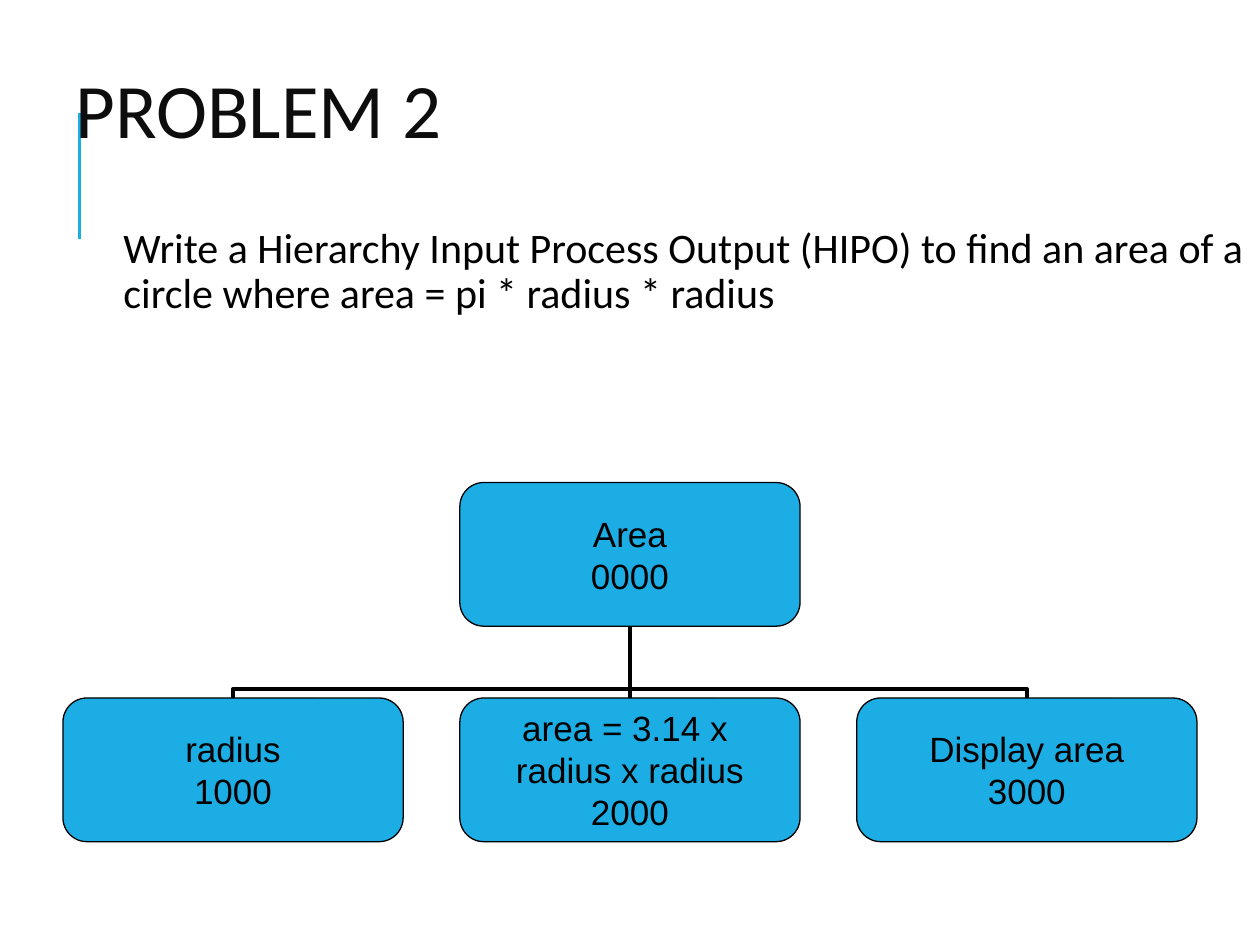
from dataclasses import dataclass

from lxml.etree import SubElement
from pptx import Presentation
from pptx.dml.color import RGBColor
from pptx.enum.shapes import MSO_CONNECTOR, MSO_SHAPE
from pptx.enum.text import MSO_ANCHOR, PP_ALIGN
from pptx.oxml.ns import qn
from pptx.util import Inches, Pt


@dataclass(frozen=True)
class Theme:
    accent: RGBColor = RGBColor(0x1C, 0xAD, 0xE4)
    heading: RGBColor = RGBColor(0x0D, 0x0D, 0x0D)
    ink: RGBColor = RGBColor(0, 0, 0)
    text_font: str = "Calibri"
    module_font: str = "Arial"
    heading_size: int = 44
    task_size: int = 24
    module_size: int = 20


@dataclass(frozen=True)
class Grid:
    left: float = 0.5
    top: float = 3.83
    column_step: float = 3.15
    row_step: float = 1.71
    width: float = 2.7
    height: float = 1.14

    def cell(self, column, row):
        return (
            Inches(self.left + column * self.column_step),
            Inches(self.top + row * self.row_step),
            Inches(self.width),
            Inches(self.height),
        )


THEME = Theme()
GRID = Grid()
TOP, BOTTOM = 0, 2
BEND = 12700


def write(paragraph, wording, font, size, color):
    run = paragraph.add_run()
    run.text = wording
    run.font.name = font
    run.font.size = Pt(size)
    run.font.color.rgb = color


def add_text(slide, box, wording, size, color, spacing, insets, anchor):
    frame = slide.shapes.add_textbox(*map(Inches, box)).text_frame
    frame.word_wrap = True
    frame.vertical_anchor = anchor
    frame.margin_left, frame.margin_top, frame.margin_right, frame.margin_bottom = map(
        Inches, insets
    )
    paragraph = frame.paragraphs[0]
    paragraph.line_spacing = spacing
    write(paragraph, wording, THEME.text_font, size, color)


def add_module(slide, column, row, *lines):
    module = slide.shapes.add_shape(
        MSO_SHAPE.ROUNDED_RECTANGLE, *GRID.cell(column, row)
    )
    module.shadow.inherit = False
    module.fill.solid()
    module.fill.fore_color.rgb = THEME.accent
    module.line.color.rgb = THEME.ink
    module.line.width = Pt(0.75)
    frame = module.text_frame
    frame.word_wrap = False
    frame.vertical_anchor = MSO_ANCHOR.MIDDLE
    frame.margin_left = frame.margin_right = 0
    frame.margin_top = frame.margin_bottom = 0
    for index, wording in enumerate(lines):
        paragraph = frame.add_paragraph() if index else frame.paragraphs[0]
        paragraph.alignment = PP_ALIGN.CENTER
        write(paragraph, wording, THEME.module_font, THEME.module_size, THEME.ink)
    return module


def add_line(slide, kind, ends, color, width):
    line = slide.shapes.add_connector(kind, *ends)
    line.line.color.rgb = color
    line.line.width = Pt(width)
    SubElement(line._element.spPr, qn("a:effectLst"))
    return line


def turn_upright(elbow, leans_right):
    run, rise = elbow.width, elbow.height
    center_x, center_y = elbow.left + run // 2, elbow.top + rise // 2
    elbow.left, elbow.top = center_x - rise // 2, center_y - run // 2
    elbow.width, elbow.height = rise, run
    properties = elbow._element.spPr
    frame = properties.find(qn("a:xfrm"))
    frame.set("rot", str((90 if leans_right else 270) * 60000))
    frame.set("flipH", "1" if leans_right else "0")
    frame.set("flipV", "1")
    geometry = properties.find(qn("a:prstGeom"))
    guides = geometry.find(qn("a:avLst"))
    if guides is None:
        guides = SubElement(geometry, qn("a:avLst"))
    SubElement(guides, qn("a:gd"), name="adj1", fmla=f"val {BEND}")


def link(slide, child, parent):
    child_x = child.left + child.width // 2
    parent_x = parent.left + parent.width // 2
    straight = child_x == parent_x
    kind = MSO_CONNECTOR.STRAIGHT if straight else MSO_CONNECTOR.ELBOW
    ends = (child_x, child.top, parent_x, parent.top + parent.height)
    branch = add_line(slide, kind, ends, THEME.ink, 2.25)
    branch.begin_connect(child, TOP)
    branch.end_connect(parent, BOTTOM)
    if not straight:
        turn_upright(branch, leans_right=child_x < parent_x)


def main():
    deck = Presentation()
    deck.slide_width, deck.slide_height = Inches(10), Inches(7.5)
    slide = deck.slides.add_slide(deck.slide_layouts[6])

    accent_ends = map(Inches, (0.63, 1.9, 0.63, 0.9))
    add_line(slide, MSO_CONNECTOR.STRAIGHT, accent_ends, THEME.accent, 1.5)
    add_text(
        slide, (0.5, 0.3, 9, 1.25), "PROBLEM 2",
        THEME.heading_size, THEME.heading, 0.8,
        (0.1, 0.05, 0.1, 0.05), MSO_ANCHOR.MIDDLE,
    )
    add_text(
        slide, (0.83, 1.75, 9.17, 1.25),
        "Write a Hierarchy Input Process Output (HIPO) to find an area of a "
        "circle where area = pi * radius * radius",
        THEME.task_size, THEME.ink, 0.9,
        (0.15, 0.05, 0.05, 0.05), MSO_ANCHOR.TOP,
    )

    area = add_module(slide, 1, 0, "Area", "0000")
    steps = (
        ("radius", "1000"),
        ("area = 3.14 x ", "radius x radius", "2000"),
        ("Display area", "3000"),
    )
    for column, lines in enumerate(steps):
        link(slide, add_module(slide, column, 1, *lines), area)

    deck.save("out.pptx")


if __name__ == "__main__":
    main()
